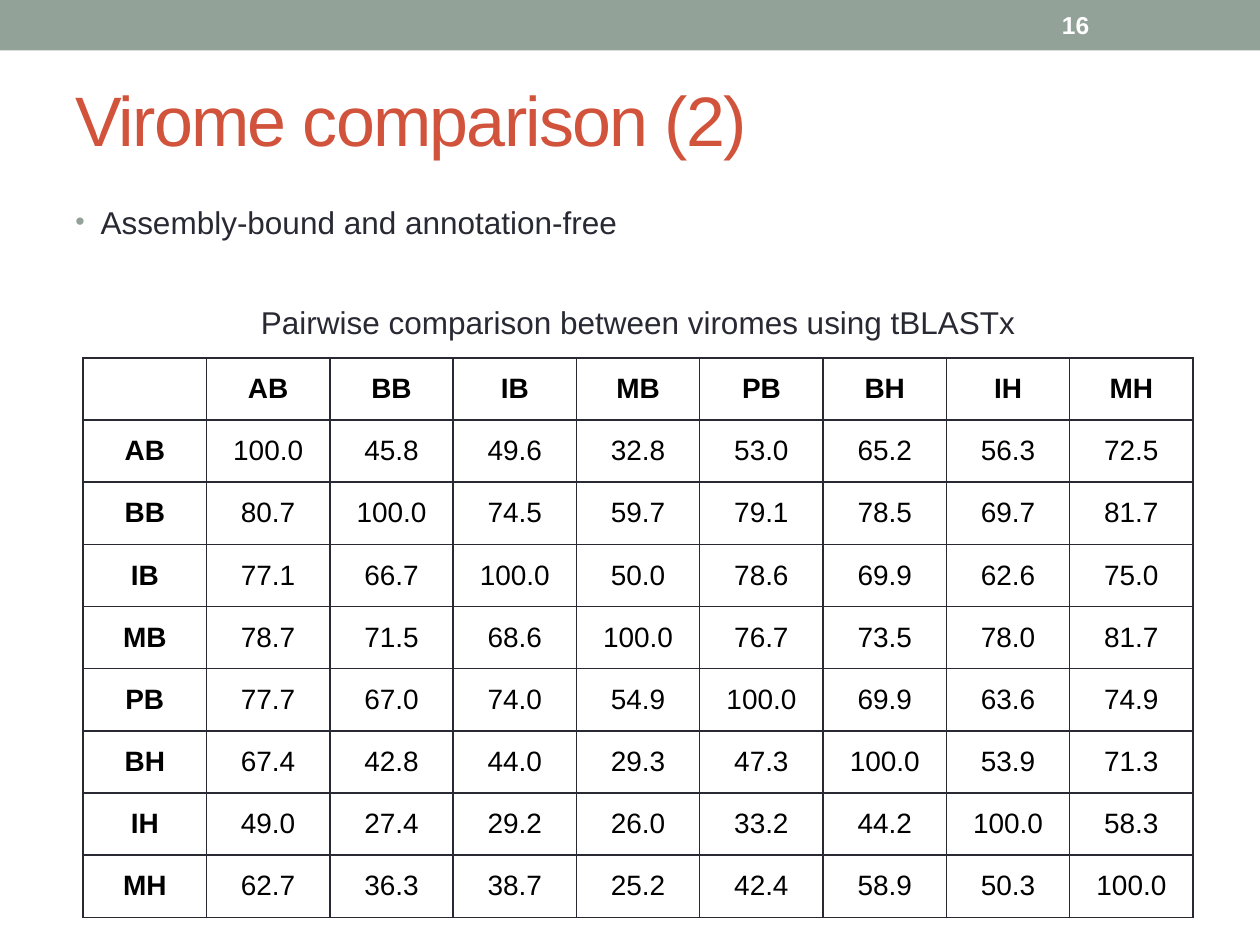
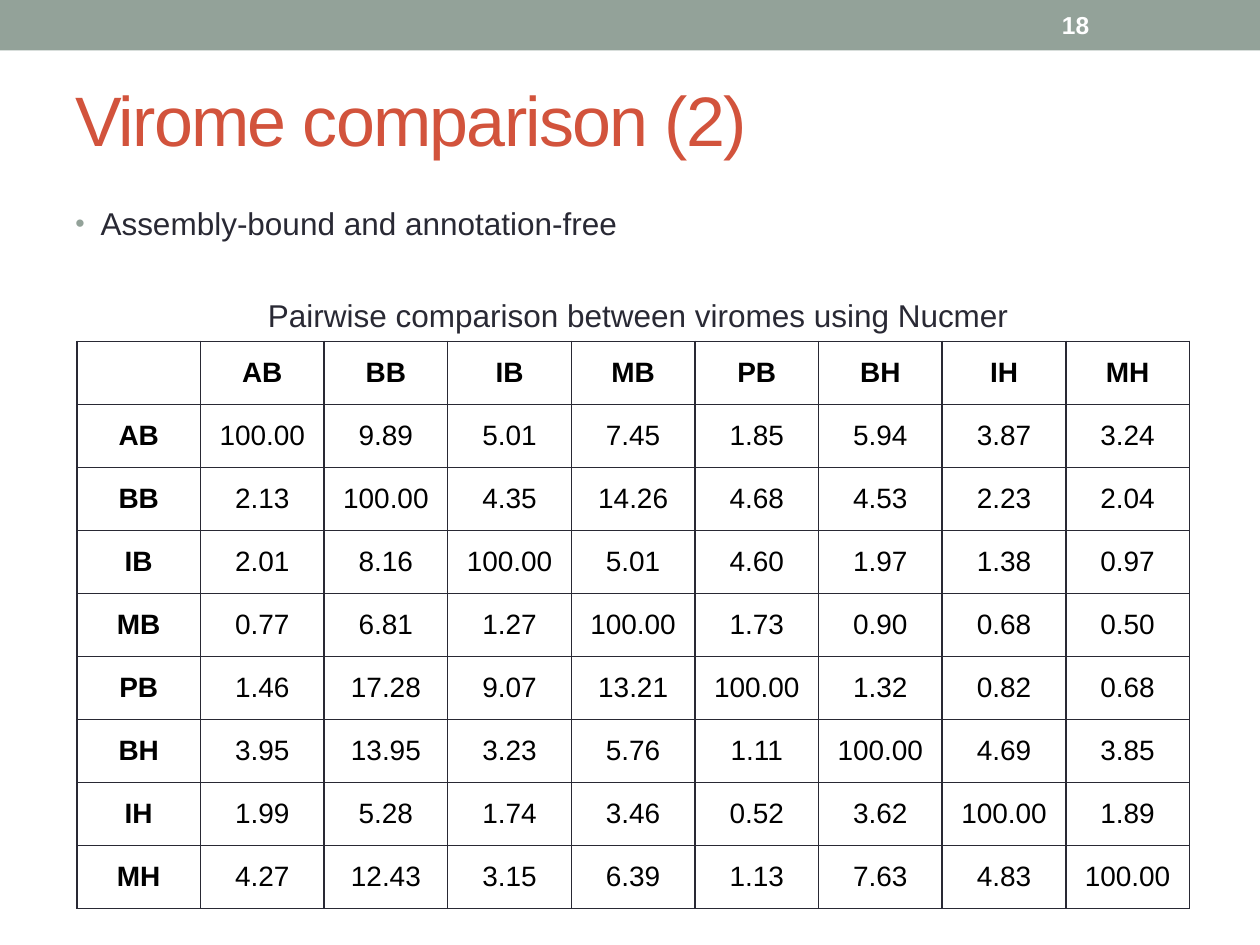
from dataclasses import dataclass

from lxml import etree
from pptx import Presentation
from pptx import util as u
from pptx.dml.color import RGBColor
from pptx.enum import shapes, text
from pptx.oxml import ns


@dataclass(frozen=True)
class Theme:
    font: str = "Arial"
    band: str = "93A299"
    title: str = "D2533C"
    ink: str = "292934"
    cell_ink: str = "000000"
    paper: str = "FFFFFF"
    title_size: int = 40
    body_size: int = 18
    cell_size: int = 16
    number_size: int = 14
    border: int = 1


THEME = Theme()
VIROMES = ["AB", "BB", "IB", "MB", "PB", "BH", "IH", "MH"]

# Rows and columns follow the order of VIROMES
TBLASTX = """
100.0 45.8 49.6 32.8 53.0 65.2 56.3 72.5
80.7 100.0 74.5 59.7 79.1 78.5 69.7 81.7
77.1 66.7 100.0 50.0 78.6 69.9 62.6 75.0
78.7 71.5 68.6 100.0 76.7 73.5 78.0 81.7
77.7 67.0 74.0 54.9 100.0 69.9 63.6 74.9
67.4 42.8 44.0 29.3 47.3 100.0 53.9 71.3
49.0 27.4 29.2 26.0 33.2 44.2 100.0 58.3
62.7 36.3 38.7 25.2 42.4 58.9 50.3 100.0
"""
NUCMER = """
100.00 9.89 5.01 7.45 1.85 5.94 3.87 3.24
2.13 100.00 4.35 14.26 4.68 4.53 2.23 2.04
2.01 8.16 100.00 5.01 4.60 1.97 1.38 0.97
0.77 6.81 1.27 100.00 1.73 0.90 0.68 0.50
1.46 17.28 9.07 13.21 100.00 1.32 0.82 0.68
3.95 13.95 3.23 5.76 1.11 100.00 4.69 3.85
1.99 5.28 1.74 3.46 0.52 3.62 100.00 1.89
4.27 12.43 3.15 6.39 1.13 7.63 4.83 100.00
"""


def inches(box):
    return [u.Inches(length) for length in box]


def add_xml(parent, tag, **attributes):
    return etree.SubElement(parent, ns.qn(tag), attributes)


def add_run(paragraph, words, size, color, bold=False):
    run = paragraph.add_run()
    run.text = words
    run.font.name = THEME.font
    run.font.size = u.Pt(size)
    run.font.bold = bold
    run.font.color.rgb = RGBColor.from_string(color)
    return run


def add_line_box(slide, box, anchor=text.MSO_ANCHOR.TOP):
    """Add a wrapping text box and return its first paragraph."""
    frame = slide.shapes.add_textbox(*inches(box)).text_frame
    frame.word_wrap = True
    frame.vertical_anchor = anchor
    return frame.paragraphs[0]


def add_band(slide, box, number):
    left, top, width, height = box
    band = slide.shapes.add_shape(shapes.MSO_SHAPE.RECTANGLE, *inches(box))
    band.shadow.inherit = False
    band.fill.solid()
    band.fill.fore_color.rgb = RGBColor.from_string(THEME.band)
    band.line.fill.background()
    # Slide number, inside the band
    number_box = (left + width - 1.67, top + 0.02, 1.17, height - 0.04)
    paragraph = add_line_box(slide, number_box, text.MSO_ANCHOR.MIDDLE)
    add_run(paragraph, number, THEME.number_size, THEME.paper, bold=True)


def add_title(slide, box, words):
    paragraph = add_line_box(slide, box, text.MSO_ANCHOR.MIDDLE)
    title = add_run(paragraph, words, THEME.title_size, THEME.title)
    title._r.get_or_add_rPr().set("spc", "-100")


def add_bullet(slide, box, words):
    paragraph = add_line_box(slide, box)
    properties = paragraph._p.get_or_add_pPr()
    indent = u.Inches(0.2)
    properties.set("marL", str(indent))
    properties.set("indent", str(-indent))
    bullet_color = add_xml(properties, "a:buClr")
    add_xml(bullet_color, "a:srgbClr", val=THEME.band)
    add_xml(properties, "a:buSzPct", val="85000")
    add_xml(properties, "a:buFont", typeface=THEME.font)
    add_xml(properties, "a:buChar", char="•")
    add_run(paragraph, words, THEME.body_size, THEME.ink)


def add_caption(slide, box, words):
    paragraph = add_line_box(slide, box)
    paragraph.alignment = text.PP_ALIGN.CENTER
    add_run(paragraph, words, THEME.body_size, THEME.ink)


def style_cell(cell):
    cell.margin_left = cell.margin_right = 0
    cell.margin_top = cell.margin_bottom = 0
    cell.vertical_anchor = text.MSO_ANCHOR.MIDDLE
    properties = cell._tc.get_or_add_tcPr()
    for edge in ("a:lnL", "a:lnR", "a:lnT", "a:lnB"):
        line = add_xml(properties, edge, w=str(u.Pt(THEME.border)))
        add_xml(add_xml(line, "a:solidFill"), "a:srgbClr", val=THEME.ink)
    cell.fill.solid()
    cell.fill.fore_color.rgb = RGBColor.from_string(THEME.paper)


def add_matrix(slide, box, scores):
    rows = [["", *VIROMES]]
    rows += [[virome, *line.split()]
             for virome, line in zip(VIROMES, scores.strip().splitlines())]
    count = len(rows)
    matrix = slide.shapes.add_table(count, count, *inches(box)).table
    matrix.first_row = matrix.horz_banding = False
    for column in matrix.columns:
        column.width = u.Inches(box[2] / count)
    for row in matrix.rows:
        row.height = u.Inches(box[3] / count)

    for r, row in enumerate(rows):
        for c, entry in enumerate(row):
            cell = matrix.cell(r, c)
            style_cell(cell)
            if entry:
                paragraph = cell.text_frame.paragraphs[0]
                paragraph.alignment = text.PP_ALIGN.CENTER
                add_run(paragraph, entry, THEME.cell_size, THEME.cell_ink,
                        bold=r == 0 or c == 0)


def add_comparison_slide(deck, number, tool, scores, bullet_top, caption_top, matrix_box):
    slide = deck.slides.add_slide(deck.slide_layouts[6])
    add_band(slide, (0, 0, 10, 0.4), number)
    add_title(slide, (0.5, 0.4, 9, 1.08), "Virome comparison (2)")
    add_bullet(slide, (0.5, bullet_top, 9, 0.5), "Assembly-bound and annotation-free")
    add_matrix(slide, matrix_box, scores)
    add_caption(slide, (0.66, caption_top, 8.81, 0.4),
                f"Pairwise comparison between viromes using {tool}")


def main():
    deck = Presentation()
    deck.slide_width, deck.slide_height = inches((10, 7.5))
    add_comparison_slide(deck, "16", "tBLASTx", TBLASTX, bullet_top=1.56,
                         caption_top=2.36, matrix_box=(0.66, 2.84, 8.81, 4.44))
    add_comparison_slide(deck, "18", "Nucmer", NUCMER, bullet_top=1.57,
                         caption_top=2.3, matrix_box=(0.61, 2.71, 8.83, 4.5))
    deck.save("out.pptx")


if __name__ == "__main__":
    main()
